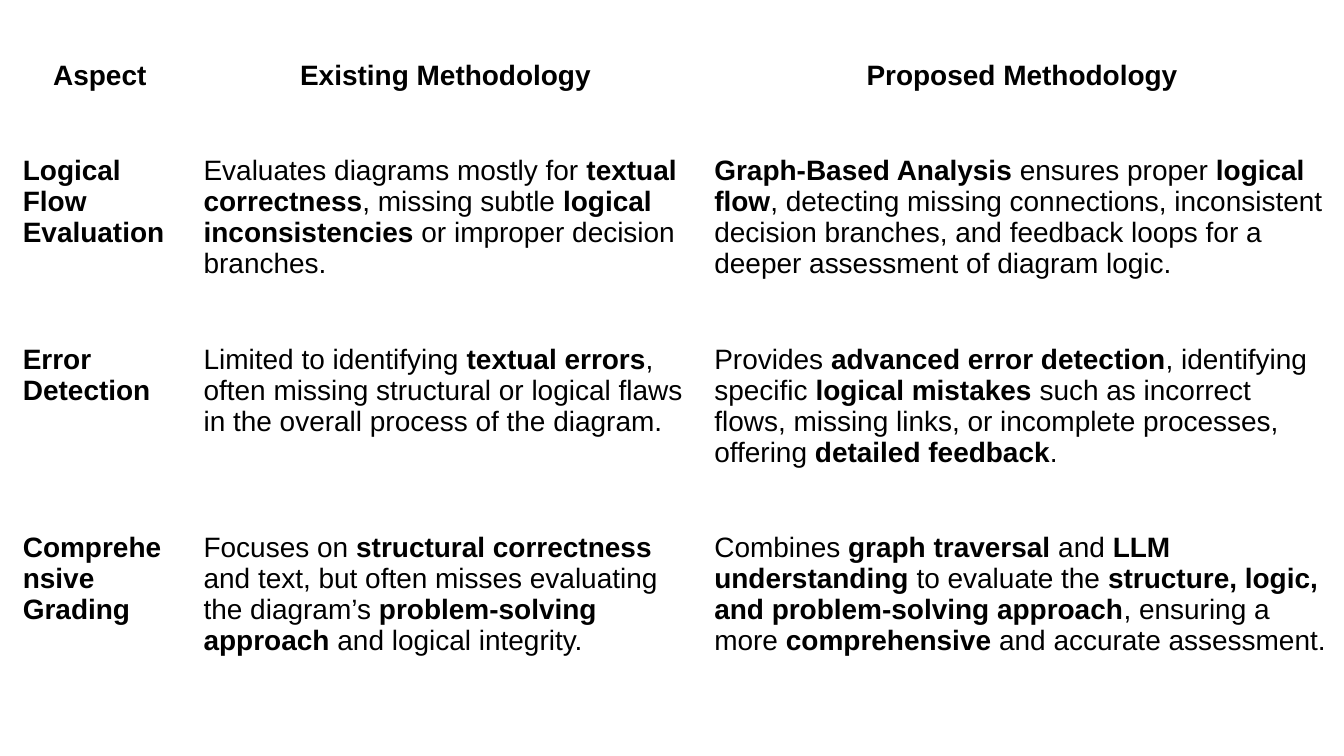
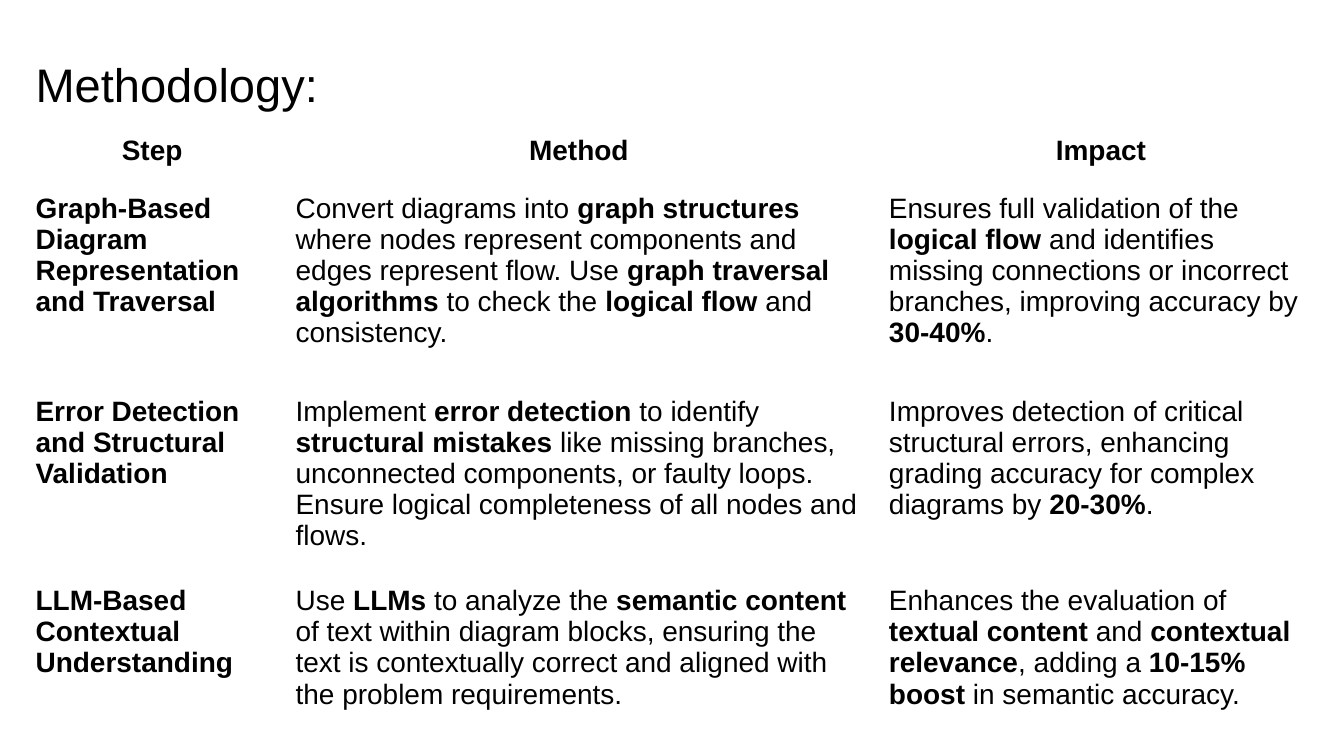
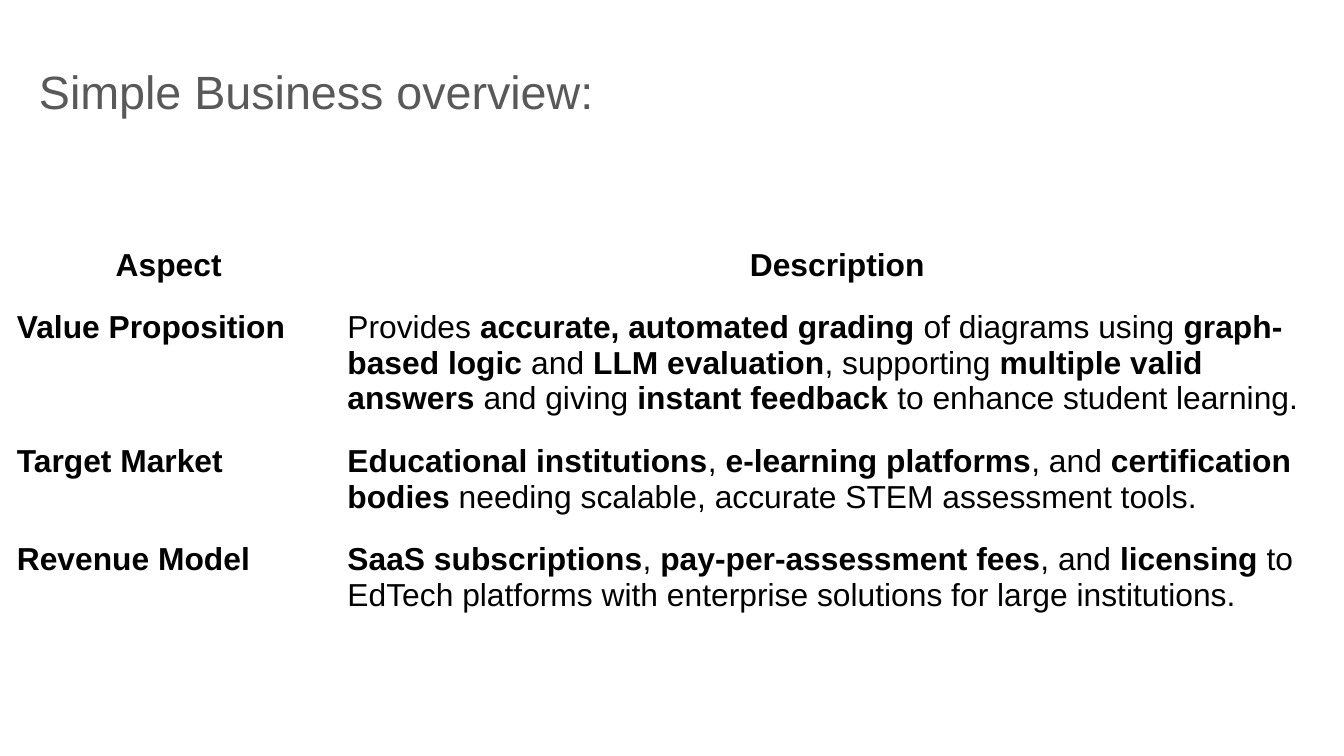
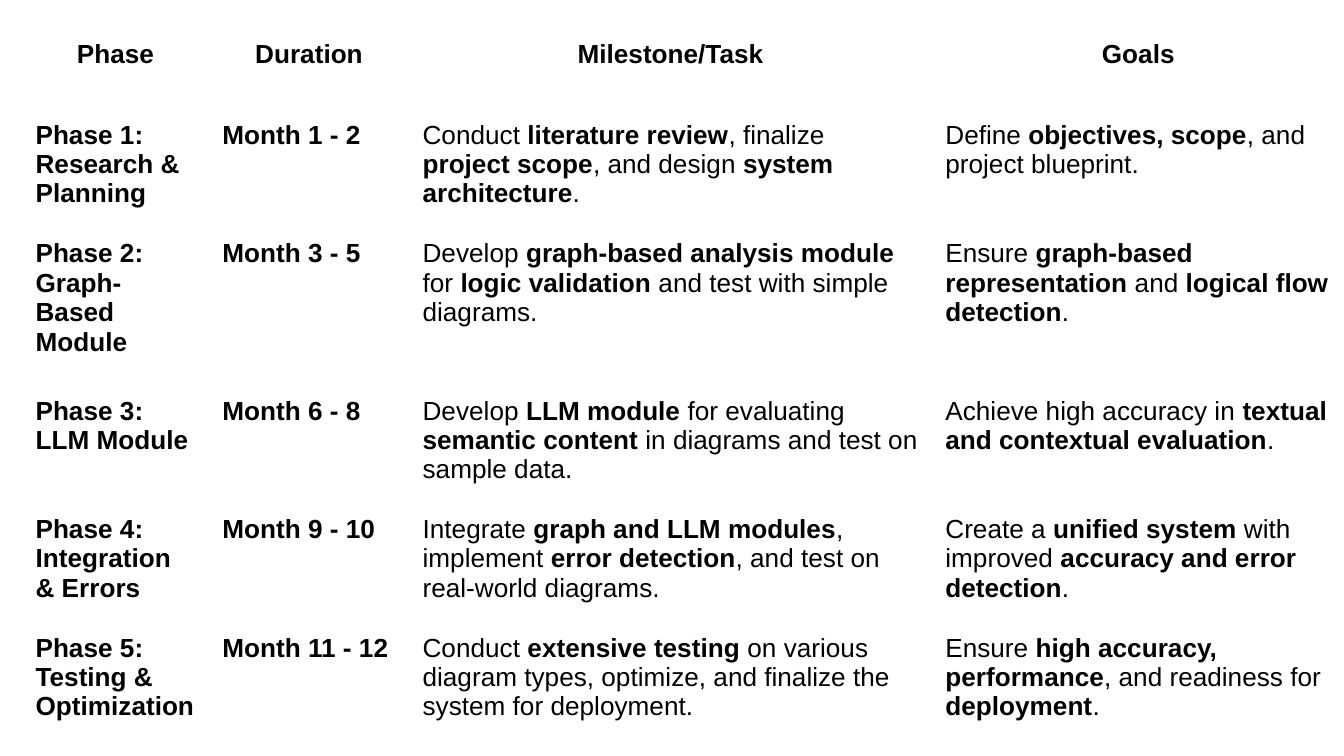
from pptx import Presentation
from pptx.dml.color import RGBColor
from pptx.enum.text import MSO_ANCHOR, MSO_AUTO_SIZE, PP_ALIGN
from pptx.util import Emu, Pt

PX = 4572
WIDE, HIGH = 2000, 1125
PAD = 20
THEME = {
    "font": "Arial",
    "ink": RGBColor(0x00, 0x00, 0x00),
    "gray": RGBColor(0x59, 0x59, 0x59),
    "large": 17,
    "mid": 15,
    "small": 14,
}
INSET = {f"margin_{side}": Emu(PAD * PX) for side in ("left", "right", "top", "bottom")}
FRAME = {
    **INSET,
    "word_wrap": True,
    "auto_size": MSO_AUTO_SIZE.NONE,
    "vertical_anchor": MSO_ANCHOR.TOP,
}
CELL = {**INSET, "vertical_anchor": MSO_ANCHOR.TOP}
HEAD = {"alignment": PP_ALIGN.CENTER, "line_spacing": 1.15}
BODY = {"alignment": PP_ALIGN.LEFT, "line_spacing": 1.0}
PLAIN = {"first_row": False, "horz_banding": False}


def style(item, values):
    for key, value in values.items():
        setattr(item, key, value)


def write(para, text, size, ink):
    for turn, part in enumerate(text.split("**")):
        if part:
            run = para.add_run()
            run.text = part
            style(run.font, {"name": THEME["font"], "size": Pt(size), "bold": turn % 2 == 1})
            run.font.color.rgb = ink


PAGES = [
    {
        "title": None,
        "spot": (14, 62),
        "size": "mid",
        "cols": (269, 760, 956),
        "rows": (149, 281, 280, 280),
        "cells": [
            ("**Aspect**", "**Existing Methodology**", "**Proposed Methodology**"),
            (
                "**Logical Flow Evaluation**",
                "Evaluates diagrams mostly for **textual correctness**, missing subtle "
                "**logical inconsistencies** or improper decision branches.",
                "**Graph-Based Analysis** ensures proper **logical flow**, detecting missing "
                "connections, inconsistent decision branches, and feedback loops for a deeper "
                "assessment of diagram logic.",
            ),
            (
                "**Error Detection**",
                "Limited to identifying **textual errors**, often missing structural or logical "
                "flaws in the overall process of the diagram.",
                "Provides **advanced error detection**, identifying specific **logical mistakes** "
                "such as incorrect flows, missing links, or incomplete processes, offering "
                "**detailed feedback**.",
            ),
            (
                "**Comprehensive Grading**",
                "Focuses on **structural correctness** and text, but often misses evaluating the "
                "diagram’s **problem-solving approach** and logical integrity.",
                "Combines **graph traversal** and **LLM understanding** to evaluate the "
                "**structure, logic, and problem-solving approach**, ensuring a more "
                "**comprehensive** and accurate assessment.",
            ),
        ],
    },
    {
        "title": ("Methodology:", (33, 62, 1864, 126), 25.2, "ink"),
        "spot": (33, 174),
        "size": "mid",
        "cols": (387, 883, 671),
        "rows": (79, 302, 282, 242),
        "cells": [
            ("**Step**", "**Method**", "**Impact**"),
            (
                "**Graph-Based Diagram Representation and Traversal**",
                "Convert diagrams into **graph structures** where nodes represent components and "
                "edges represent flow. Use **graph traversal algorithms** to check the "
                "**logical flow** and consistency.",
                "Ensures full validation of the **logical flow** and identifies missing "
                "connections or incorrect branches, improving accuracy by **30-40%**.",
            ),
            (
                "**Error Detection and Structural Validation**",
                "Implement **error detection** to identify **structural mistakes** like missing "
                "branches, unconnected components, or faulty loops. Ensure logical completeness "
                "of all nodes and flows.",
                "Improves detection of critical structural errors, enhancing grading accuracy "
                "for complex diagrams by **20-30%**.",
            ),
            (
                "**LLM-Based Contextual Understanding**",
                "Use **LLMs** to analyze the **semantic content** of text within diagram blocks, "
                "ensuring the text is contextually correct and aligned with the problem "
                "requirements.",
                "Enhances the evaluation of **textual content** and **contextual relevance**, "
                "adding a **10-15% boost** in semantic accuracy.",
            ),
        ],
    },
    {
        "title": ("Simple Business overview:", (38, 74, 1202, 154), 25, "gray"),
        "spot": (5, 340),
        "size": "large",
        "cols": (492, 1498),
        "rows": (42, 82, 42, 42),
        "cells": [
            ("**Aspect**", "**Description**"),
            (
                "**Value Proposition**",
                "Provides **accurate, automated grading** of diagrams using **graph-based logic** "
                "and **LLM evaluation**, supporting **multiple valid answers** and giving "
                "**instant feedback** to enhance student learning.",
            ),
            (
                "**Target Market**",
                "**Educational institutions**, **e-learning platforms**, and **certification "
                "bodies** needing scalable, accurate STEM assessment tools.",
            ),
            (
                "**Revenue Model**",
                "**SaaS subscriptions**, **pay-per-assessment fees**, and **licensing** to EdTech "
                "platforms with enterprise solutions for large institutions.",
            ),
        ],
    },
    {
        "title": None,
        "spot": (33, 33),
        "size": "small",
        "cols": (278, 298, 778, 614),
        "rows": (126, 177, 234, 176, 177, 176),
        "cells": [
            ("**Phase**", "**Duration**", "**Milestone/Task**", "**Goals**"),
            (
                "**Phase 1: Research & Planning**",
                "**Month 1 - 2**",
                "Conduct **literature review**, finalize **project scope**, and design "
                "**system architecture**.",
                "Define **objectives, scope**, and project blueprint.",
            ),
            (
                "**Phase 2: Graph-Based Module**",
                "**Month 3 - 5**",
                "Develop **graph-based analysis module** for **logic validation** and test with "
                "simple diagrams.",
                "Ensure **graph-based representation** and **logical flow detection**.",
            ),
            (
                "**Phase 3: LLM Module**",
                "**Month 6 - 8**",
                "Develop **LLM module** for evaluating **semantic content** in diagrams and test "
                "on sample data.",
                "Achieve high accuracy in **textual and contextual evaluation**.",
            ),
            (
                "**Phase 4: Integration & Errors**",
                "**Month 9 - 10**",
                "Integrate **graph and LLM modules**, implement **error detection**, and test on "
                "real-world diagrams.",
                "Create a **unified system** with improved **accuracy and error detection**.",
            ),
            (
                "**Phase 5: Testing & Optimization**",
                "**Month 11 - 12**",
                "Conduct **extensive testing** on various diagram types, optimize, and finalize "
                "the system for deployment.",
                "Ensure **high accuracy, performance**, and readiness for **deployment**.",
            ),
        ],
    },
]

deck = Presentation()
style(deck, {"slide_width": Emu(WIDE * PX), "slide_height": Emu(HIGH * PX)})
only = deck.slide_layouts.get_by_name("Title Only")
blank = deck.slide_layouts.get_by_name("Blank")

for page in PAGES:
    slide = deck.slides.add_slide(only if page["title"] else blank)

    if page["title"]:
        text, box, size, ink = page["title"]
        title = slide.shapes.title
        style(title, dict(zip(("left", "top", "width", "height"), (Emu(n * PX) for n in box))))
        style(title.text_frame, FRAME)
        para = title.text_frame.paragraphs[0]
        style(para, BODY)
        write(para, text, size, THEME[ink])

    cols, rows = page["cols"], page["rows"]
    area = (*page["spot"], sum(cols), sum(rows))
    grid = slide.shapes.add_table(len(rows), len(cols), *(Emu(n * PX) for n in area)).table
    style(grid, PLAIN)
    for col, width in zip(grid.columns, cols):
        col.width = Emu(width * PX)
    for row, height in zip(grid.rows, rows):
        row.height = Emu(height * PX)

    for down, line in enumerate(page["cells"]):
        for across, text in enumerate(line):
            cell = grid.cell(down, across)
            style(cell, CELL)
            cell.fill.background()
            para = cell.text_frame.paragraphs[0]
            style(para, BODY if down else HEAD)
            write(para, text, THEME[page["size"]], THEME["ink"])

deck.save("out.pptx")
